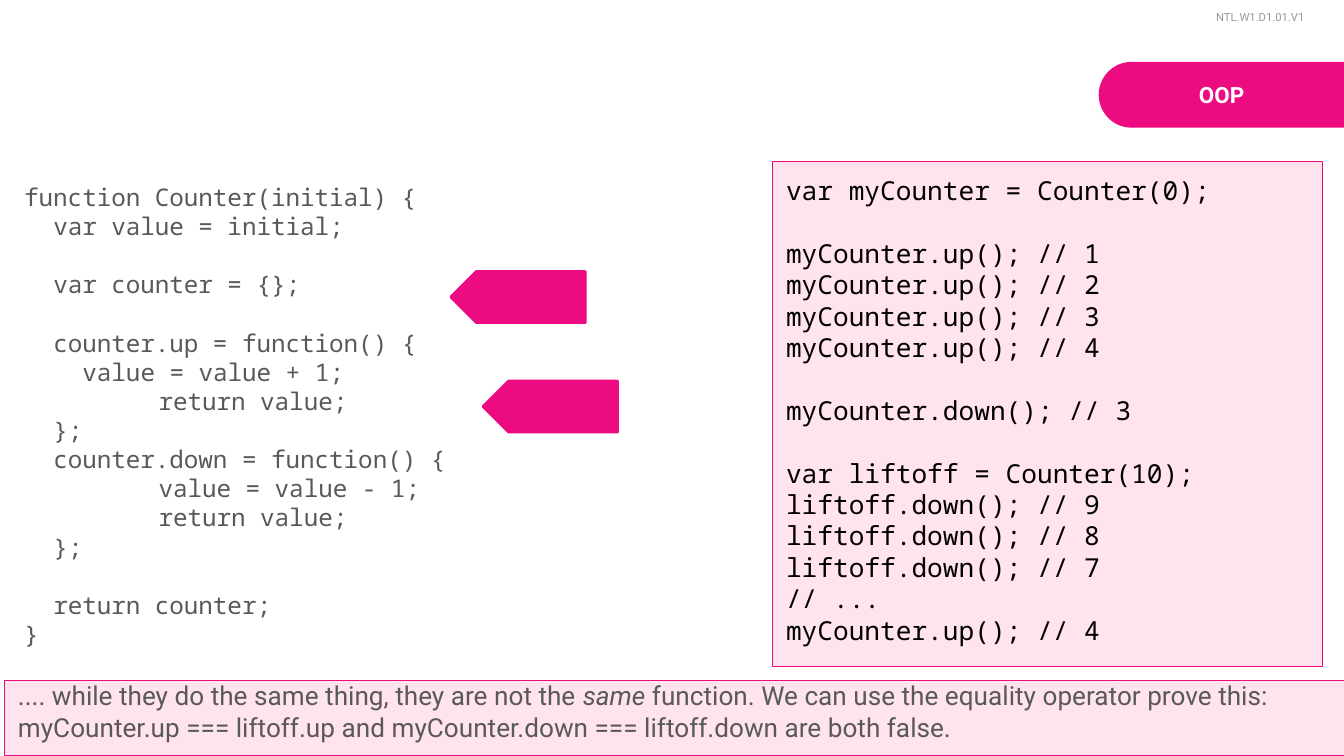
"""Build the OOP slide comparing two counters made by one function."""
from dataclasses import dataclass

from lxml.etree import SubElement
from pptx import Presentation
from pptx.dml.color import RGBColor
from pptx.enum.shapes import MSO_SHAPE
from pptx.enum.text import MSO_ANCHOR, MSO_AUTO_SIZE, PP_ALIGN
from pptx.oxml.ns import qn
from pptx.util import Emu, Inches, Pt

PINK = RGBColor(0xEC, 0x0B, 0x80)
BLUSH = RGBColor(0xFF, 0x7C, 0xAD)
WHITE = RGBColor(0xFF, 0xFF, 0xFF)
BLACK = RGBColor(0x00, 0x00, 0x00)
GREY = RGBColor(0x59, 0x59, 0x59)
LIGHT_GREY = RGBColor(0x99, 0x99, 0x99)
CODE_FONT = "Noto Sans Mono"
PROSE_FONT = "Roboto"
SLIDE_WIDTH = Inches(10)
SLIDE_HEIGHT = Emu(SLIDE_WIDTH * 9 // 16)
COLUMN = ROW = SLIDE_WIDTH // 100
CHARACTER_SHARE = 0.6
LINE_SHARE = 1.2
TAB = Inches(1)


@dataclass(frozen=True)
class Area:
    """Place on the slide in grid columns and rows."""
    column: float
    row: float
    columns: float
    rows: float

    def lengths(self) -> tuple:
        return (Emu(int(self.column * COLUMN)), Emu(int(self.row * ROW)),
                Emu(int(self.columns * COLUMN)), Emu(int(self.rows * ROW)))


@dataclass(frozen=True)
class Style:
    """Look of a run of text."""
    font: str
    size: float
    color: RGBColor
    bold: bool = False


@dataclass(frozen=True)
class Line:
    """Line of code with its indent in characters or tabs."""
    code: str
    characters: int = 0
    tabs: int = 0
    starts_block: bool = False


COUNTER = [
    Line("function Counter(initial) {"),
    Line("var value = initial;", 2),
    Line("var counter = {};", 2, starts_block=True),
    Line("counter.up = function() {", 2, starts_block=True),
    Line("value = value + 1;", 4),
    Line("return value;", tabs=1),
    Line("};", 2),
    Line("counter.down = function() {", 2),
    Line("value = value - 1;", tabs=1),
    Line("return value;", tabs=1),
    Line("};", 2),
    Line("return counter;", 2, starts_block=True),
    Line("}"),
]
USAGE = [
    Line("var myCounter = Counter(0);"),
    Line("myCounter.up(); // 1", starts_block=True),
    *(Line(f"myCounter.up(); // {count}") for count in (2, 3, 4)),
    Line("myCounter.down(); // 3", starts_block=True),
    Line("var liftoff = Counter(10);", starts_block=True),
    *(Line(f"liftoff.down(); // {count}") for count in (9, 8, 7)),
    Line("// ..."),
    Line("myCounter.up(); // 4"),
]
CONCLUSION = [
    (".... while they do the same thing, they are not the ", False),
    ("same", True),
    (" function. We can use the equality operator prove this: "
     "myCounter.up === liftoff.up and myCounter.down === liftoff.down "
     "are both false.", False),
]


def place(shape, area: Area) -> None:
    """Move a shape to its area."""
    shape.left, shape.top, shape.width, shape.height = area.lengths()


def prepare(shape, anchor: MSO_ANCHOR):
    """Set the text frame of a shape and return it."""
    frame = shape.text_frame
    frame.word_wrap = True
    frame.auto_size = MSO_AUTO_SIZE.NONE
    frame.vertical_anchor = anchor
    frame.margin_left = frame.margin_right = Inches(0.1)
    frame.margin_top = frame.margin_bottom = Inches(0.1)
    return frame


def add_run(paragraph, words: str, style: Style, italic: bool = False) -> None:
    """Add one formatted run."""
    run = paragraph.add_run()
    run.text = words
    font = run.font
    font.name, font.size = style.font, Pt(style.size)
    font.bold, font.italic = style.bold, italic
    font.color.rgb = style.color


def write_code(shape, lines: list[Line], style: Style) -> None:
    """Write code with paragraph indents and spacing between blocks."""
    frame = prepare(shape, MSO_ANCHOR.TOP)
    for number, line in enumerate(lines):
        paragraph = frame.add_paragraph() if number else frame.paragraphs[0]
        paragraph.alignment = PP_ALIGN.LEFT
        paragraph.line_spacing = 1.0
        paragraph.space_before = Pt(style.size * LINE_SHARE if line.starts_block else 0)
        indent = line.tabs * TAB + Pt(line.characters * CHARACTER_SHARE * style.size)
        properties = paragraph._p.get_or_add_pPr()
        properties.set("marL", str(int(indent)))
        properties.set("indent", "0")
        SubElement(properties, qn("a:buNone"))
        add_run(paragraph, line.code, style)


def add_filled(slide, kind: MSO_SHAPE, area: Area, fill: RGBColor,
               line_width: float = 0, opacity: int = 100):
    """Add a preset shape with a pink outline or none."""
    shape = slide.shapes.add_shape(kind, *area.lengths())
    shape.shadow.inherit = False
    shape.fill.solid()
    shape.fill.fore_color.rgb = fill
    if opacity < 100:
        color = shape.fill._xPr.find(".//" + qn("a:srgbClr"))
        SubElement(color, qn("a:alpha"), val=str(opacity * 1000))
    if line_width:
        shape.line.color.rgb = PINK
        shape.line.width = Pt(line_width)
    else:
        shape.line.fill.background()
    return shape


def add_pointer(slide, area: Area) -> None:
    """Add a block arrow that points left at the code."""
    pointer = add_filled(slide, MSO_SHAPE.RIGHT_ARROW, area, PINK, 1.5)
    pointer.rotation = 180
    pointer.adjustments[0], pointer.adjustments[1] = 1, 0.5


def main() -> None:
    """Build and save the slide."""
    deck = Presentation()
    deck.slide_width, deck.slide_height = SLIDE_WIDTH, SLIDE_HEIGHT
    slide = deck.slides.add_slide(deck.slide_layouts[1])

    topic = slide.shapes.title
    place(topic, Area(82.3, 5.05, 17.2, 4))
    heading = prepare(topic, MSO_ANCHOR.MIDDLE).paragraphs[0]
    heading.alignment = PP_ALIGN.CENTER
    add_run(heading, "OOP", Style(PROSE_FONT, 12, WHITE, True))

    tab = add_filled(slide, MSO_SHAPE.ROUND_2_SAME_RECTANGLE,
                     Area(88.45, -2.1, 4.9, 18.3), PINK)
    tab.rotation = 270
    tab.adjustments[0], tab.adjustments[1] = 0.5, 0
    topic._element.addprevious(tab._element)

    lesson = slide.shapes.add_textbox(*Area(89.5, 0, 9.7, 3).lengths())
    lesson_frame = prepare(lesson, MSO_ANCHOR.TOP)
    lesson_frame.margin_top = Inches(0.06)
    lesson_code = lesson_frame.paragraphs[0]
    lesson_code.line_spacing = 1.15
    add_run(lesson_code, "NTL.W1.D1.01.V1", Style(PROSE_FONT, 6, LIGHT_GREY))

    counter = slide.placeholders[1]
    place(counter, Area(0.8, 12.55, 48.3, 44.5))
    write_code(counter, COUNTER, Style(CODE_FONT, 13, GREY))

    conclusion = add_filled(slide, MSO_SHAPE.RECTANGLE,
                            Area(0.35, 50.65, 100, 5.6), BLUSH, 0.75, 21)
    remark = prepare(conclusion, MSO_ANCHOR.BOTTOM).paragraphs[0]
    remark.alignment = PP_ALIGN.LEFT
    for words, italic in CONCLUSION:
        add_run(remark, words, Style(PROSE_FONT, 14, GREY), italic)

    usage = add_filled(slide, MSO_SHAPE.RECTANGLE,
                       Area(57.5, 12, 40.9, 37.6), BLUSH, 0.75, 21)
    write_code(usage, USAGE, Style(CODE_FONT, 14, BLACK))

    for column, row in ((35.95, 28.35), (33.55, 20.2)):
        add_pointer(slide, Area(column, row, 10, 3.8))

    deck.save("out.pptx")


if __name__ == "__main__":
    main()
